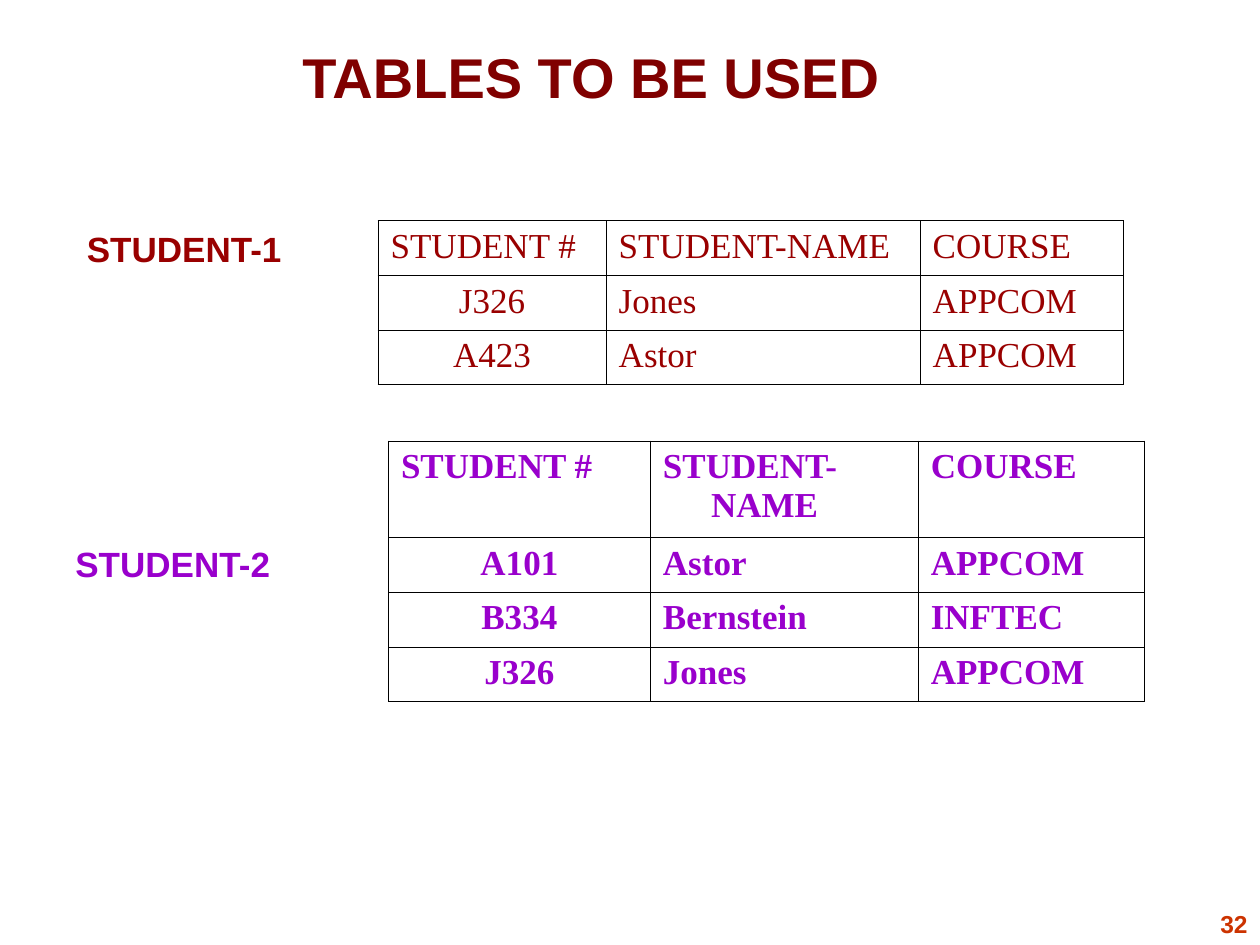
from lxml import etree
from pptx import Presentation
from pptx import util as u
from pptx.dml.color import RGBColor
from pptx.enum import text
from pptx.oxml import ns

MAROON = RGBColor(0x80, 0x00, 0x00)
RED = RGBColor(0x99, 0x00, 0x00)
PURPLE = RGBColor(0x99, 0x00, 0xCC)
ORANGE = RGBColor(0xCC, 0x33, 0x00)
BLACK = RGBColor(0x00, 0x00, 0x00)

LEFT, CENTER, RIGHT = text.PP_ALIGN.LEFT, text.PP_ALIGN.CENTER, text.PP_ALIGN.RIGHT
TOP, MIDDLE, BOTTOM = (text.MSO_ANCHOR.TOP, text.MSO_ANCHOR.MIDDLE,
                       text.MSO_ANCHOR.BOTTOM)

HEADINGS = ["STUDENT #", "STUDENT-NAME", "COURSE"]
STUDENT_1 = [HEADINGS, ["J326", "Jones", "APPCOM"], ["A423", "Astor", "APPCOM"]]
STUDENT_2 = [HEADINGS, ["A101", "Astor", "APPCOM"],
             ["B334", "Bernstein", "INFTEC"], ["J326", "Jones", "APPCOM"]]


def set_format(target, values):
    """Set each named format value on the target."""
    for name, value in values.items():
        setattr(target, name, value)


def write(para, words, color, size, name="Arial", bold=True):
    """Write one formatted span into the paragraph."""
    span = para.add_run()
    span.text = words
    set_format(span.font, {"name": name, "size": u.Pt(size), "bold": bold})
    span.font.color.rgb = color


def add_words(page, box, words, color, size, align=LEFT, anchor=MIDDLE, wrap=True):
    """Place one line of text in the box, given in centimetres."""
    frame = page.shapes.add_textbox(*map(u.Cm, box)).text_frame
    set_format(frame, {"word_wrap": wrap, "vertical_anchor": anchor})
    para = frame.paragraphs[0]
    para.alignment = align
    write(para, words, color, size)


def add_borders(cell, width=0.45):
    """Rule all four sides of a cell."""
    props = cell._tc.get_or_add_tcPr()
    for position, side in enumerate(("lnL", "lnR", "lnT", "lnB")):
        line = etree.Element(ns.qn(f"a:{side}"), w=str(u.Pt(width)))
        fill = etree.SubElement(line, ns.qn("a:solidFill"))
        etree.SubElement(fill, ns.qn("a:srgbClr"), val=str(BLACK))
        props.insert(position, line)


def fill_cell(cell, words, color, bold, align):
    """Write a ruled, unfilled cell with a hanging indent."""
    cell.fill.background()
    add_borders(cell)
    cell.vertical_anchor = TOP
    para = cell.text_frame.paragraphs[0]
    para.alignment = align
    props = para._p.get_or_add_pPr()
    props.set("marL", str(u.Cm(0.97)))
    props.set("indent", str(u.Cm(-0.97)))
    write(para, words, color, 20, "Times New Roman", bold)


def add_students(page, corner, rows, widths, header_height, color, bold):
    """Place a student table with its top left at the corner."""
    heights = [header_height] + [1.1] * (len(rows) - 1)
    box = (*corner, sum(widths), sum(heights))
    table = page.shapes.add_table(len(rows), len(widths), *map(u.Cm, box)).table
    set_format(table, {"first_row": False, "horz_banding": False})
    for column, width in zip(table.columns, widths):
        column.width = u.Cm(width)
    for r, (values, height) in enumerate(zip(rows, heights)):
        table.rows[r].height = u.Cm(height)
        for c, words in enumerate(values):
            align = CENTER if r and c == 0 else LEFT
            fill_cell(table.cell(r, c), words, color, bold, align)


def main():
    """Build the slide and save the deck."""
    deck = Presentation()
    set_format(deck, {"slide_width": u.Cm(25.4), "slide_height": u.Cm(19.05)})
    page = deck.slides.add_slide(deck.slide_layouts[6])
    add_words(page, (1.12, 0.64, 21.59, 1.7), "TABLES TO BE USED", MAROON, 32,
              CENTER, BOTTOM)
    add_words(page, (1.5, 4.45, 4.47, 1.12), "STUDENT-1", RED, 20, wrap=False)
    add_students(page, (7.62, 4.45), STUDENT_1, (4.6, 6.33, 4.1), 1.1, RED, False)
    add_words(page, (1.27, 10.8, 4.47, 1.12), "STUDENT-2", PURPLE, 20, wrap=False)
    add_students(page, (7.83, 8.89), STUDENT_2, (5.28, 5.4, 4.56), 1.94, PURPLE, True)
    add_words(page, (18.7, 18.21, 6.7, 0.84), "32", ORANGE, 14, RIGHT, BOTTOM)
    deck.save("out.pptx")


if __name__ == "__main__":
    main()
